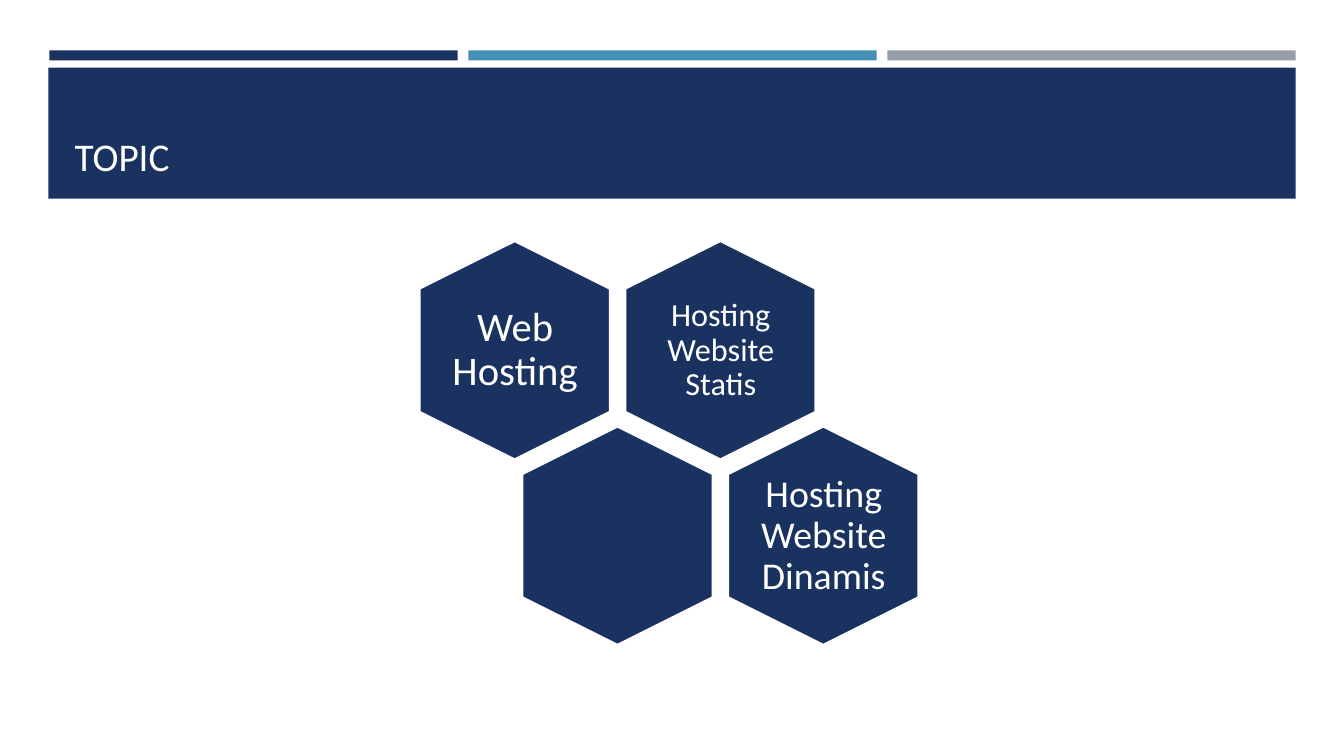
from pptx import Presentation
from pptx.dml.color import RGBColor as Color
from pptx.enum.shapes import MSO_SHAPE as Shape
from pptx.enum.text import MSO_ANCHOR as Anchor, MSO_AUTO_SIZE as AutoSize, PP_ALIGN as Align
from pptx.util import Inches, Pt

COLORS = {"navy": "1A3260", "blue": "4590B8", "grey": "969FA7", "white": "FFFFFF"}


def write_text(frame, text, size, align=Align.LEFT, anchor=Anchor.MIDDLE,
               inset=0.0, line_spacing=1.0, font="Calibri", color="white"):
    frame.word_wrap = True
    frame.auto_size = AutoSize.NONE
    frame.vertical_anchor = anchor
    frame.margin_left = frame.margin_right = Inches(inset)
    frame.margin_top = frame.margin_bottom = Inches(inset)
    para = frame.paragraphs[0]
    para.alignment = align
    para.line_spacing = line_spacing
    span = para.add_run()
    span.text = text
    span.font.name = font
    span.font.size = Pt(size)
    span.font.color.rgb = Color.from_string(COLORS[color])


class TopicSlide:
    def __init__(self, deck):
        self.page = deck.slides.add_slide(deck.slide_layouts[5])

    def block(self, kind, left, top, width, height, color):
        box = self.page.shapes.add_shape(
            kind, Inches(left), Inches(top), Inches(width), Inches(height))
        box.shadow.inherit = False
        box.fill.solid()
        box.fill.fore_color.rgb = Color.from_string(COLORS[color])
        box.line.fill.background()
        return box

    def title(self, text, left, top, width, height):
        box = self.page.shapes.title
        box.left, box.top = Inches(left), Inches(top)
        box.width, box.height = Inches(width), Inches(height)
        write_text(box.text_frame, text, 28, anchor=Anchor.BOTTOM, inset=0.1)
        box._element.getparent().append(box._element)

    def hexagon(self, left, top):
        box = self.block(Shape.HEXAGON, left, top, 2.17, 1.89, "navy")
        box.rotation = 90
        box.adjustments[0] = 0.25
        box.adjustments[1] = 1.155
        box.line.color.rgb = Color.from_string(COLORS["white"])
        box.line.width = Pt(1.75)

    def label(self, text, size, left, top, inset):
        box = self.page.shapes.add_textbox(
            Inches(left), Inches(top), Inches(1.3), Inches(1.5))
        write_text(box.text_frame, text, size, align=Align.CENTER,
                   inset=inset, line_spacing=0.9)


def main():
    deck = Presentation()
    deck.slide_width, deck.slide_height = Inches(13.33), Inches(7.5)
    slide = TopicSlide(deck)

    for column, color in enumerate(("navy", "blue", "grey")):
        slide.block(Shape.RECTANGLE, 0.49 + column * 4.155, 0.5, 4.05, 0.1, color)
    slide.block(Shape.RECTANGLE, 0.48, 0.67, 12.37, 1.3, "navy")
    slide.title("TOPIC", 0.64, 0.77, 12.06, 1.11)

    topics = [
        (0, 0, "Web Hosting", 29, 0),
        (0, 1, "Hosting Website Statis", 23, 0.1),
        (1, 0, "", 0, 0),
        (1, 1, "Hosting Website Dinamis", 27, 0),
    ]
    for row, column, text, size, inset in topics:
        left = 4.02 + column * 2.04 + row * 1.02
        top = 2.53 + row * 1.84
        slide.hexagon(left, top)
        if text:
            slide.label(text, size, left + 0.44, top + 0.2, inset)

    deck.save("out.pptx")


if __name__ == "__main__":
    main()
